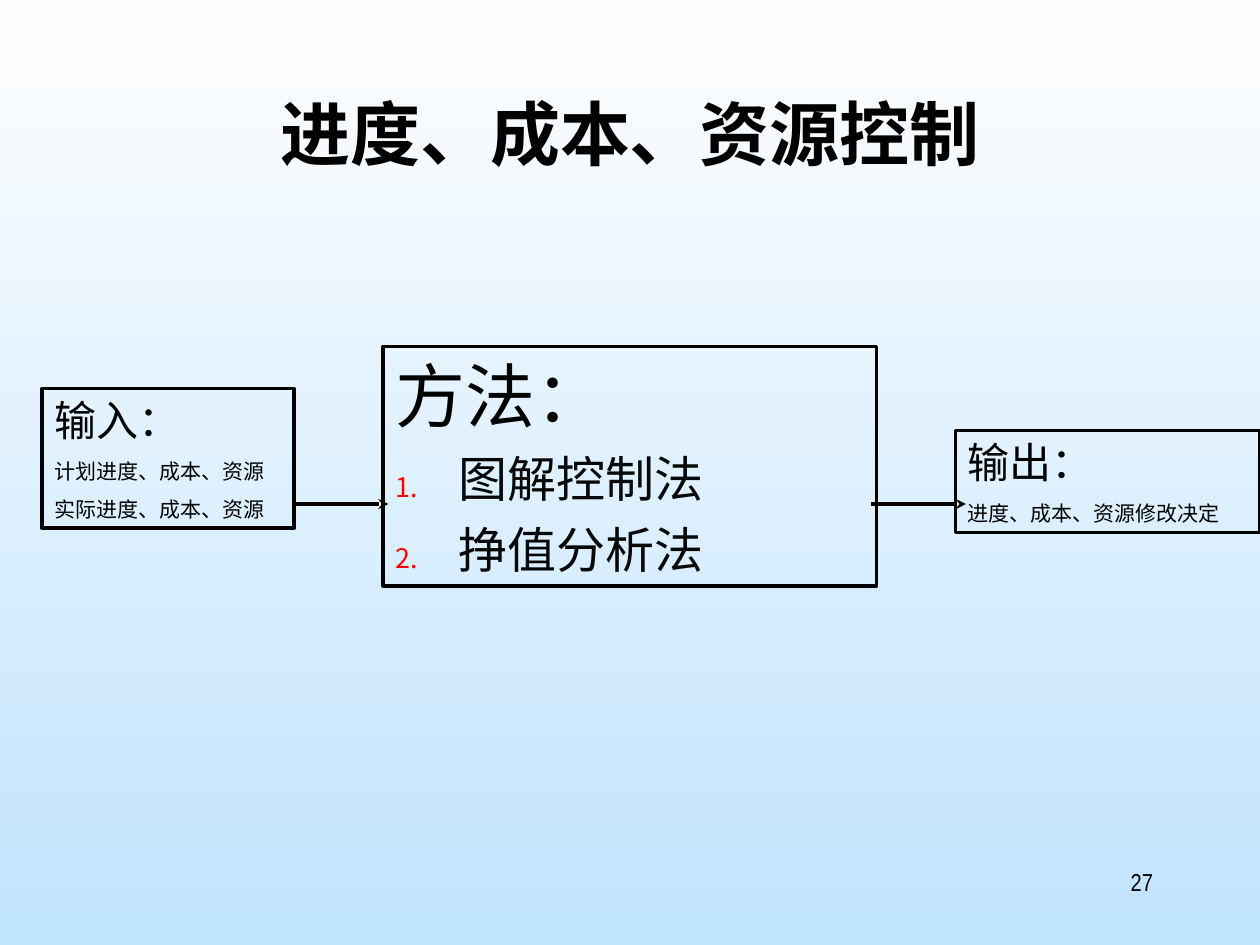
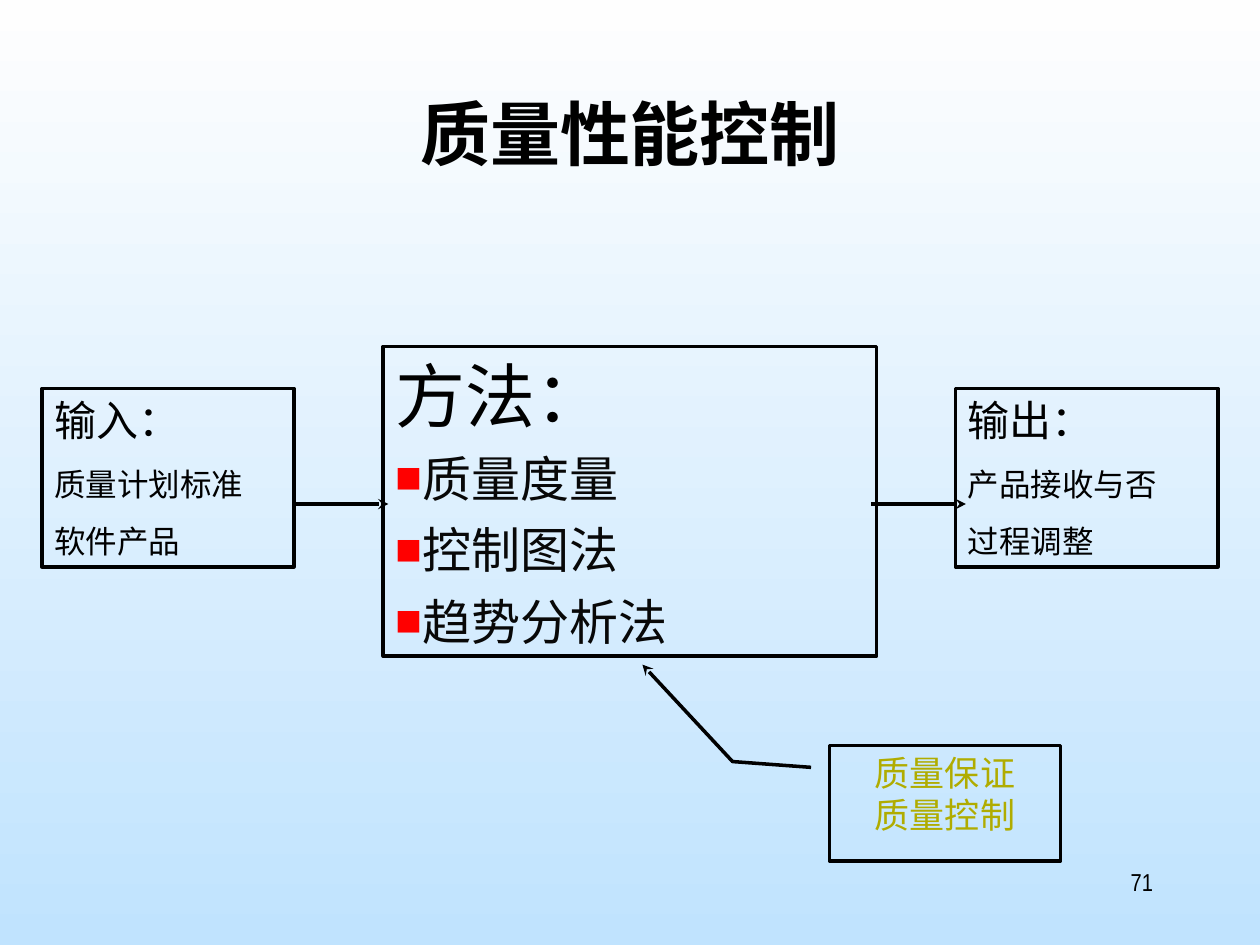
from pptx import Presentation
from pptx.dml.color import RGBColor
from pptx.enum.shapes import MSO_CONNECTOR, MSO_SHAPE
from pptx.enum.text import MSO_ANCHOR, MSO_AUTO_SIZE, PP_ALIGN
from pptx.oxml.xmlchemy import OxmlElement
from pptx.util import Inches, Pt

RECT = MSO_SHAPE.RECTANGLE
CALLOUT = MSO_SHAPE.LINE_CALLOUT_2
STRAIGHT = MSO_CONNECTOR.STRAIGHT
TOP = MSO_ANCHOR.TOP
GROW = MSO_AUTO_SIZE.SHAPE_TO_FIT_TEXT
FIXED = MSO_AUTO_SIZE.NONE
LEFT, CENTER, RIGHT = PP_ALIGN.LEFT, PP_ALIGN.CENTER, PP_ALIGN.RIGHT

WHITE = RGBColor(0xFE, 0xFE, 0xFE)
SKY = RGBColor(0xC0, 0xE3, 0xFE)
BLACK = RGBColor(0, 0, 0)
INK = RGBColor(8, 8, 8)
OLIVE = RGBColor(0xB0, 0xAC, 0)
RED = "FF0000"

SANS = "Noto Sans CJK SC"
SLIM = "Arial Narrow"
WIDTH, HEIGHT = Inches(10), Inches(7.5)
COLS, ROWS = 120, 90
FLOW_ROW = 48
GAPS = [(28, 37), (83, 92)]


def across(col):
    return round(WIDTH * col / COLS)


def down(row):
    return round(HEIGHT * row / ROWS)


def place(area):
    col, row, wide, high = area
    return across(col), down(row), across(wide), down(high)


def child(parent, tag, **attrs):
    node = OxmlElement(tag)
    for key, value in attrs.items():
        node.set(key, value)
    parent.append(node)
    return node


def write(para, text, size, font=SLIM, color=BLACK, bold=False, align=LEFT):
    para.alignment = align
    run = para.add_run()
    run.text = text
    run.font.size = Pt(size)
    run.font.bold = bold
    run.font.color.rgb = color
    run.font.name = font
    child(run.font._element, "a:ea", typeface=SANS)


def mark(para, ordered):
    props = para._p.get_or_add_pPr()
    indent = Inches(0.5) if ordered else 0
    props.set("marL", str(indent))
    props.set("indent", str(-indent))
    child(child(props, "a:buClr"), "a:srgbClr", val=RED)
    child(props, "a:buSzPct", val="55000")
    child(props, "a:buFont", typeface=SANS)
    if ordered:
        child(props, "a:buAutoNum", type="arabicPeriod")
    else:
        child(props, "a:buChar", char="■")


def pen(line):
    line.color.rgb = BLACK
    line.width = Pt(2)


def tip(line):
    child(line._get_or_add_ln(), "a:tailEnd", type="stealth")


def frame(slide, kind, area, fit):
    shape = slide.shapes.add_shape(kind, *place(area))
    shape.shadow.inherit = False
    shape.fill.background()
    pen(shape.line)
    text = shape.text_frame
    text.word_wrap = True
    text.vertical_anchor = TOP
    text.auto_size = fit
    return shape


def side_box(slide, area, head, items, size):
    text = frame(slide, RECT, area, GROW).text_frame
    write(text.paragraphs[0], head, 24)
    for item in items:
        para = text.add_paragraph()
        para.space_before = Pt(size * 0.625)
        write(para, item, size)


def method_box(slide, high, items, ordered):
    text = frame(slide, RECT, (36.5, 33, 47, high), GROW).text_frame
    write(text.paragraphs[0], "方法：", 40)
    for item in items:
        para = text.add_paragraph()
        para.space_before = Pt(7)
        mark(para, ordered)
        write(para, item, 28, SANS, INK)


def arrows(slide):
    for start, end in GAPS:
        link = slide.shapes.add_connector(
            STRAIGHT, across(start), down(FLOW_ROW), across(end), down(FLOW_ROW))
        pen(link.line)
        tip(link.line)
        child(link._element.spPr, "a:effectLst")


def callout(slide, area, items, bends):
    shape = frame(slide, CALLOUT, area, FIXED)
    for index, bend in enumerate(bends):
        shape.adjustments[index] = bend
    tip(shape.line)
    text = shape.text_frame
    for index, item in enumerate(items):
        para = text.add_paragraph() if index else text.paragraphs[0]
        write(para, item, 20, color=OLIVE, align=CENTER)


def paint(master):
    fill = master.background.fill
    fill.gradient()
    fill.gradient_angle = 270
    for stop, color in zip(fill.gradient_stops, (WHITE, SKY)):
        stop.color.rgb = color


def new_slide(deck, title, number):
    slide = deck.slides.add_slide(deck.slide_layouts[5])
    head = slide.shapes.title
    head.left, head.top, head.width, head.height = place((9, 8, 102, 15))
    head.text_frame.vertical_anchor = TOP
    head.text_frame.auto_size = FIXED
    write(head.text_frame.paragraphs[0], title, 40, SANS, bold=True, align=CENTER)
    page = slide.shapes.add_textbox(*place((86, 82, 25, 6))).text_frame
    page.word_wrap = True
    write(page.paragraphs[0], number, 14, align=RIGHT)
    return slide


def main():
    deck = Presentation()
    deck.slide_width, deck.slide_height = WIDTH, HEIGHT
    paint(deck.slide_master)

    plan = new_slide(deck, "进度、成本、资源控制", "27")
    method_box(plan, 22.8, ["图解控制法", "挣值分析法"], True)
    side_box(plan, (4, 37, 24, 13.3), "输入：",
             ["计划进度、成本、资源", "实际进度、成本、资源"], 12)
    side_box(plan, (91, 41, 29, 9.7), "输出：", ["进度、成本、资源修改决定"], 12)
    arrows(plan)

    check = new_slide(deck, "质量性能控制", "71")
    method_box(check, 29.5, ["质量度量", "控制图法", "趋势分析法"], False)
    side_box(check, (4, 37, 24, 17), "输入：", ["质量计划标准", "软件产品"], 18)
    side_box(check, (91, 37, 25, 17), "输出：", ["产品接收与否", "过程调整"], 18)
    arrows(check)
    callout(check, (79, 71, 22, 11), ["质量保证", "质量控制"],
            [0.19, -0.08, 0.14, -0.42, -0.7, -0.81])

    deck.save("out.pptx")


if __name__ == "__main__":
    main()
